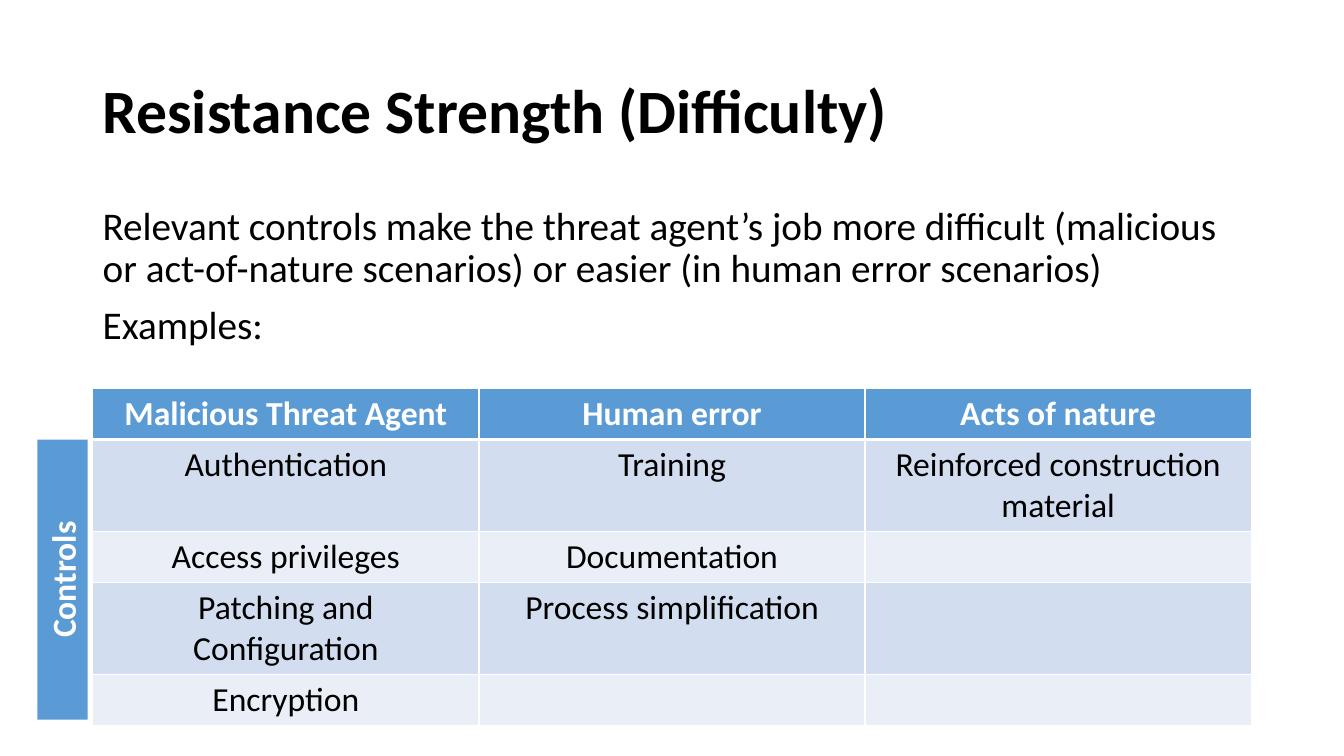
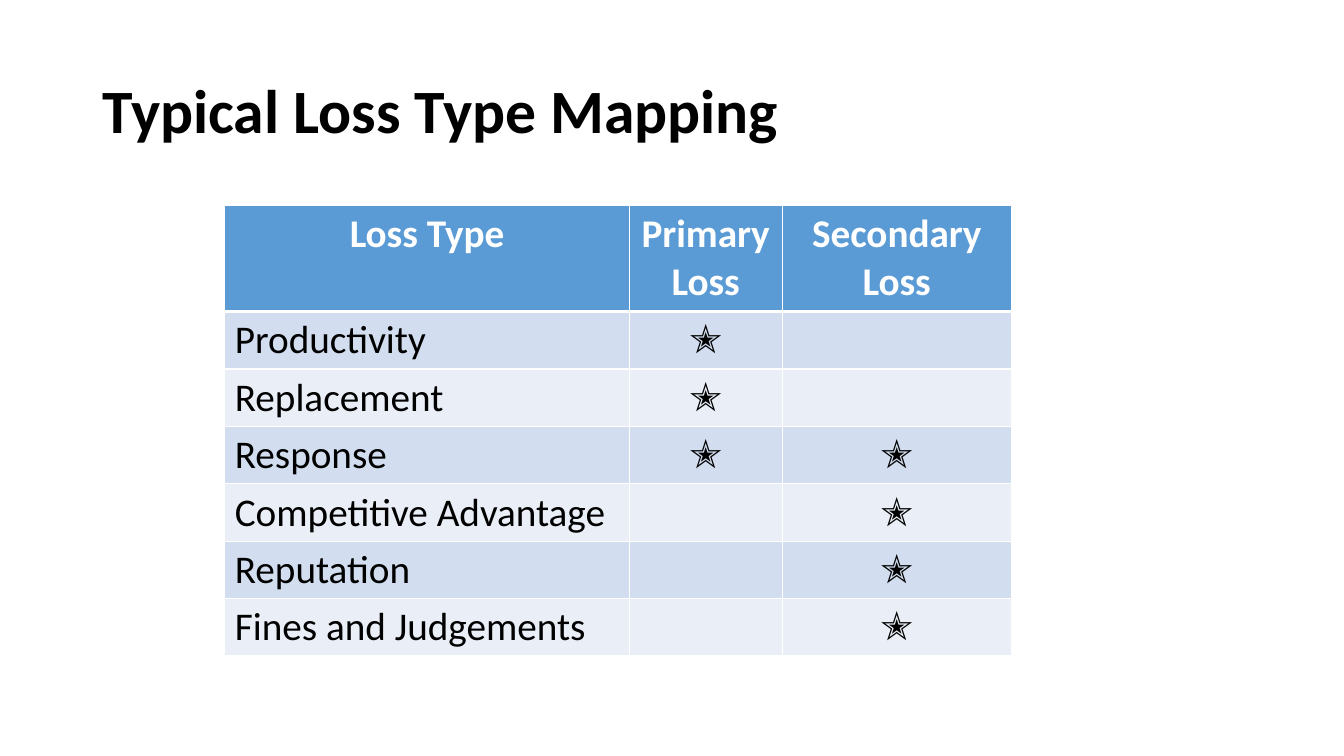
"""Build two slides on resistance strength and loss types."""
from lxml import etree
from pptx import Presentation
from pptx import util as u
from pptx.dml import color
from pptx.enum import shapes, text
from pptx.oxml import ns

BLACK, WHITE, BLUE = "000000", "FFFFFF", "5B9BD5"
BANDS = ["D2DEEF", "EAEFF7"]
CENTER, LEFT = text.PP_ALIGN.CENTER, text.PP_ALIGN.LEFT
TITLE = {"size": u.Pt(44), "bold": True}
BODY = {"size": u.Pt(28), "bold": False}
LABEL = {"size": u.Pt(24), "bold": True}


def rgb(value):
    return color.RGBColor.from_string(value)


def write(frame, lines, style, ink=BLACK, **layout):
    frame.word_wrap = True
    for index, line in enumerate(lines):
        para = frame.paragraphs[0] if index == 0 else frame.add_paragraph()
        for name, value in layout.items():
            setattr(para, name, value)
        if index:
            para.space_before = u.Pt(10)
        span = para.add_run()
        span.text = line
        for name, value in {"name": "Calibri", **style}.items():
            setattr(span.font, name, value)
        span.font.color.rgb = rgb(ink)


pages = [
    {
        "title": "Resistance Strength (Difficulty)",
        "body": [
            "Relevant controls make the threat agent’s job more difficult (malicious "
            "or act-of-nature scenarios) or easier (in human error scenarios)",
            "Examples:",
        ],
        "side": "Controls",
        "corner": (0.92, 3.85),
        "widths": [3.83, 3.83, 3.83],
        "heights": [0.51, 0.91, 0.51, 0.91, 0.51],
        "size": 24,
        "first_align": CENTER,
        "rows": [
            ["Malicious Threat Agent", "Human error", "Acts of nature"],
            ["Authentication", "Training", "Reinforced construction material"],
            ["Access privileges", "Documentation", ""],
            ["Patching and Configuration", "Process simplification", ""],
            ["Encryption", "", ""],
        ],
    },
    {
        "title": "Typical Loss Type Mapping",
        "body": [],
        "side": "",
        "corner": (2.23, 2.04),
        "widths": [4.01, 1.52, 2.27],
        "heights": [1.05] + [0.57] * 6,
        "size": 28,
        "first_align": LEFT,
        "rows": [
            ["Loss Type", "Primary Loss", "Secondary Loss"],
            ["Productivity", "✭", ""],
            ["Replacement", "✭", ""],
            ["Response", "✭", "✭"],
            ["Competitive Advantage", "", "✭"],
            ["Reputation", "", "✭"],
            ["Fines and Judgements", "", "✭"],
        ],
    },
]

deck = Presentation()
deck.slide_width, deck.slide_height = u.Inches(13.33), u.Inches(7.5)

for page in pages:
    slide = deck.slides.add_slide(deck.slide_layouts[6])
    box = slide.shapes.add_textbox(*map(u.Inches, (0.92, 0.4, 11.5, 1.45)))
    box.text_frame.vertical_anchor = text.MSO_ANCHOR.MIDDLE
    write(box.text_frame, [page["title"]], TITLE, line_spacing=0.9)

    if page["body"]:
        box = slide.shapes.add_textbox(*map(u.Inches, (0.92, 2, 11.5, 1.75)))
        write(box.text_frame, page["body"], BODY, line_spacing=0.9)

    rows, widths, heights = page["rows"], page["widths"], page["heights"]
    area = (*page["corner"], sum(widths), sum(heights))
    table = slide.shapes.add_table(len(rows), len(widths), *map(u.Inches, area)).table
    for column, width in zip(table.columns, widths):
        column.width = u.Inches(width)
    for row, height in zip(table.rows, heights):
        row.height = u.Inches(height)

    for r, row in enumerate(rows):
        for c, words in enumerate(row):
            cell = table.cell(r, c)
            properties = cell._tc.get_or_add_tcPr()
            edges = {"lnL": 1, "lnR": 1, "lnT": 3 if r == 1 else 1, "lnB": 3 if r == 0 else 1}
            for edge, weight in edges.items():
                line = etree.SubElement(properties, ns.qn(f"a:{edge}"), w=str(u.Pt(weight)))
                fill = etree.SubElement(line, ns.qn("a:solidFill"))
                etree.SubElement(fill, ns.qn("a:srgbClr"), val=WHITE)
            cell.fill.solid()
            cell.fill.fore_color.rgb = rgb(BANDS[(r - 1) % 2] if r else BLUE)
            if words:
                style = {"size": u.Pt(page["size"]), "bold": r == 0 or words == "✭"}
                align = page["first_align"] if r and c == 0 else CENTER
                write(cell.text_frame, [words], style, BLACK if r else WHITE, alignment=align)

    if page["side"]:
        side = slide.shapes.add_shape(
            shapes.MSO_SHAPE.RECTANGLE, *map(u.Inches, (-0.77, 5.5, 2.78, 0.5)))
        side.rotation = 270
        side.shadow.inherit = False
        side.fill.solid()
        side.fill.fore_color.rgb = rgb(BLUE)
        side.line.fill.background()
        write(side.text_frame, [page["side"]], LABEL, WHITE, alignment=CENTER)

deck.save("out.pptx")
